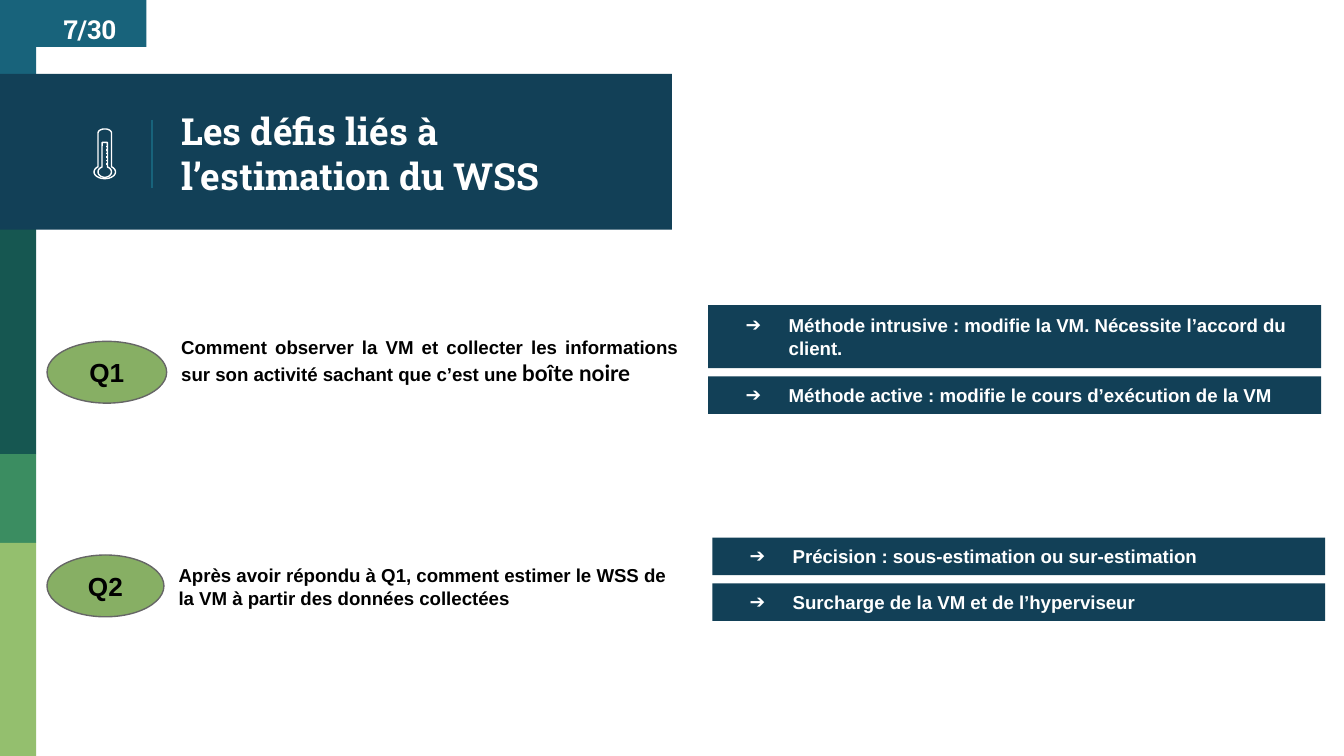
import math
from lxml import etree
from pptx import Presentation
from pptx import util as u
from pptx.dml.color import RGBColor
from pptx.enum import shapes, text
from pptx.oxml.ns import qn

# Content
PAGE = "7/30"
TITLE = "Les défis liés à l’estimation du WSS"
# label, ellipse box, question box, question runs (text, style)
QUESTIONS = [
    ("Q1", (0.35, 2.54, 0.89, 0.46), (1.25, 2.41, 3.89, 0.55),
     [("Comment observer la VM et collecter les informations sur son activité "
       "sachant que c’est une ", "body"), ("boîte noire", "emphasis")]),
    ("Q2", (0.35, 4.13, 0.87, 0.46), (1.23, 4.09, 3.82, 0.55),
     [("Après avoir répondu à Q1, comment estimer le WSS de la VM à partir "
       "des données collectées", "body")]),
]
# left, top, then (text, height) for each answer of the stack
ANSWERS = [
    (5.27, 2.27, [("Méthode intrusive : modifie la VM. Nécessite l’accord du client.", 0.47),
                  ("Méthode active : modifie le cours d’exécution de la VM", 0.28)]),
    (5.3, 4, [("Précision : sous-estimation ou sur-estimation", 0.28),
              ("Surcharge de la VM et de l’hyperviseur", 0.28)]),
]
ANSWER_WIDTH, ANSWER_GAP = 4.56, 0.06

THEME = {
    "navy": "124057", "teal": "18637B", "forest": "165751", "green": "3B8D61",
    "lime": "94BF6E", "oval": "87AF64", "grey": "666666",
    "white": "FFFFFF", "black": "000000", "line": 0.75,
    "title": ("Roboto Slab", 20), "page": ("Roboto Slab", 14),
    "label": ("Arial", 14), "body": ("Arial", 10), "emphasis": ("Lato", 12),
}
WIDTH = 10
HEIGHT = WIDTH * 9 / 16
SIDEBAR_WIDTH = 0.27
SIDEBAR = [("teal", 0, 0.58), ("forest", 1.7, 3.38), ("green", 3.38, 4.04),
           ("lime", 4.04, HEIGHT)]

presentation = Presentation()
presentation.slide_width, presentation.slide_height = u.Inches(WIDTH), u.Inches(HEIGHT)
slide = presentation.slides.add_slide(presentation.slide_layouts[6])


def color(name):
    return RGBColor.from_string(THEME[name])


def add_block(box, fill, kind=shapes.MSO_SHAPE.RECTANGLE, line=None):
    shape = slide.shapes.add_shape(kind, *map(u.Inches, box))
    shape.shadow.inherit = False
    shape.fill.solid()
    shape.fill.fore_color.rgb = color(fill)
    if line:
        shape.line.color.rgb = color(line)
        shape.line.width = u.Pt(THEME["line"])
    else:
        shape.line.fill.background()
    return shape


def add_line(parent, start, end, line):
    connector = parent.add_connector(shapes.MSO_CONNECTOR.STRAIGHT,
                                     *map(u.Inches, start + end))
    connector.line.color.rgb = color(line)
    connector.line.width = u.Pt(THEME["line"])
    etree.SubElement(connector._element.spPr, qn("a:effectLst"))


def add_bullet(paragraph, character, ink):
    properties = paragraph._p.get_or_add_pPr()
    properties.set("marL", str(u.Inches(0.5)))
    properties.set("indent", str(u.Inches(-0.32)))
    bullet_color = etree.SubElement(properties, qn("a:buClr"))
    etree.SubElement(bullet_color, qn("a:srgbClr")).set("val", THEME[ink])
    font, size = THEME["body"]
    etree.SubElement(properties, qn("a:buSzPts")).set("val", str(size * 100))
    etree.SubElement(properties, qn("a:buFont")).set("typeface", font)
    etree.SubElement(properties, qn("a:buChar")).set("char", character)


def write(shape, runs, ink="black", align=text.PP_ALIGN.LEFT,
          anchor=text.MSO_ANCHOR.MIDDLE, bullet=None):
    frame = shape.text_frame
    frame.word_wrap = True
    frame.vertical_anchor = anchor
    frame.margin_left = frame.margin_right = u.Inches(0.1)
    frame.margin_top = frame.margin_bottom = u.Inches(0.1)
    paragraph = frame.paragraphs[0]
    paragraph.alignment = align
    if bullet:
        add_bullet(paragraph, bullet, ink)
    for words, style in runs:
        run = paragraph.add_run()
        run.text = words
        run.font.name, size = THEME[style]
        run.font.size = u.Pt(size)
        run.font.bold = True
        run.font.color.rgb = color(ink)


def add_text(box, runs, **style):
    write(slide.shapes.add_textbox(*map(u.Inches, box)), runs, **style)


def arc(center, radii, start, end, steps=24):
    angles = [math.radians(start + (end - start) * i / steps) for i in range(steps + 1)]
    return [(center[0] + radii[0] * math.cos(a), center[1] + radii[1] * math.sin(a))
            for a in angles]


def add_outline(parent, points):
    points = [(u.Inches(x), u.Inches(y)) for x, y in points]
    builder = parent.build_freeform(*points[0])
    builder.add_line_segments(points[1:], close=True)
    shape = builder.convert_to_shape()
    shape.shadow.inherit = False
    shape.fill.background()
    shape.line.color.rgb = color("white")
    shape.line.width = u.Pt(THEME["line"])


# Sidebar and title band
for fill, top, bottom in SIDEBAR:
    add_block((0, top, SIDEBAR_WIDTH, bottom - top), fill)
add_block((0, 0.55, 5, 1.16), "navy")
add_line(slide.shapes, (1.13, 0.89), (1.13, 1.4), "teal")
add_text((1.25, 0.58, 3.51, 1.12), [(TITLE, "title")], ink="white")

# Thermometer: a bulb arc closed by a round glass or by a square column
icon = slide.shapes.add_group_shape().shapes
middle = 0.78
add_outline(icon, arc((middle, 1.28), (0.08, 0.05), -51, 231)
            + arc((middle, 0.99), (0.05, 0.03), 180, 360))
add_outline(icon, arc((middle, 1.28), (0.05, 0.04), -66, 246)
            + [(middle - 0.02, 1.06), (middle + 0.02, 1.06)])
for index in range(6):
    height = 1.09 + index * 0.13 / 5
    add_line(icon, (0.79, height), (0.8, height), "white")

# Questions
for label, oval_box, question_box, runs in QUESTIONS:
    oval = add_block(oval_box, "oval", shapes.MSO_SHAPE.OVAL, "grey")
    write(oval, [(label, "label")], align=text.PP_ALIGN.CENTER)
    add_text(question_box, runs, align=text.PP_ALIGN.JUSTIFY)

# Answers, stacked with equal gaps
for left, top, answers in ANSWERS:
    for words, height in answers:
        bar = add_block((left, top, ANSWER_WIDTH, height), "navy")
        write(bar, [(words, "body")], ink="white", bullet="➔")
        top += height + ANSWER_GAP

# Page number
write(add_block((0.25, 0, 0.84, 0.35), "teal"), [(PAGE, "page")], ink="white",
      align=text.PP_ALIGN.CENTER, anchor=text.MSO_ANCHOR.TOP)

presentation.save("out.pptx")
